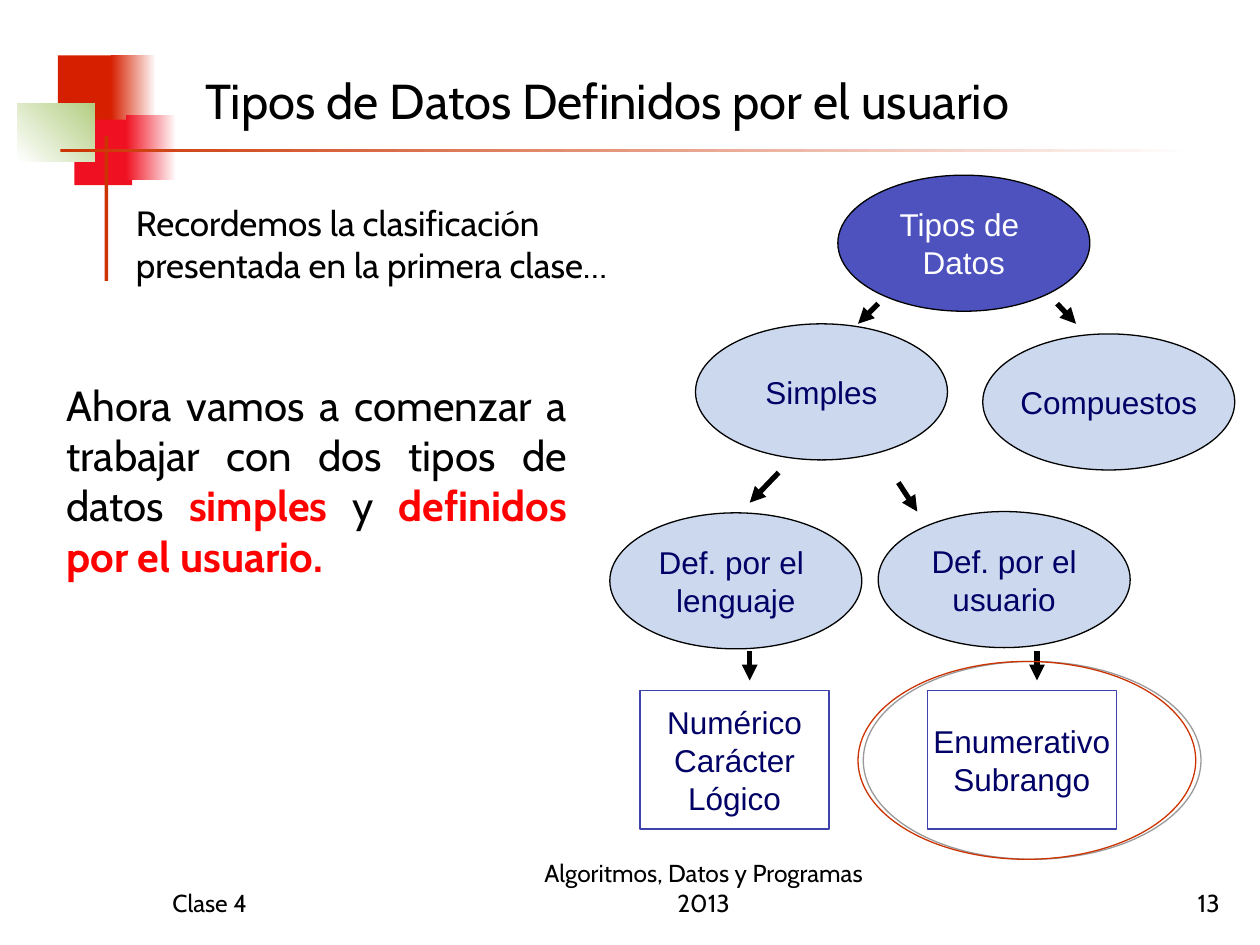
from lxml import etree
from pptx import Presentation
from pptx.dml.color import RGBColor
from pptx.enum import shapes as kinds, text as t
from pptx.oxml.ns import qn
from pptx.util import Inches, Pt

BLACK, WHITE, NAVY, RED = "000000", "FFFFFF", "000066", "FF0000"
INDIGO, PALE, FRAME, RUST = "4D52BE", "CBD8ED", "3E43AC", "CC3300"
LEFT, CENTER, RIGHT, JUSTIFY = (
    t.PP_ALIGN.LEFT, t.PP_ALIGN.CENTER, t.PP_ALIGN.RIGHT, t.PP_ALIGN.JUSTIFY)
TOP, MIDDLE, BOTTOM = t.MSO_ANCHOR.TOP, t.MSO_ANCHOR.MIDDLE, t.MSO_ANCHOR.BOTTOM
OVAL, RECTANGLE = kinds.MSO_SHAPE.OVAL, kinds.MSO_SHAPE.RECTANGLE

# box, colours (two make a gradient), counter-clockwise gradient angle
DECORATION = [
    ((0.46, 0.44, 0.48, 0.52), ["D61F00"], 0),
    ((0.88, 0.44, 0.36, 0.52), ["D61F00", WHITE], 0),
    ((0.59, 0.95, 0.46, 0.52), ["EF1121"], 0),
    ((1, 0.91, 0.4, 0.52), ["EF1121", WHITE], 0),
    ((0.14, 0.82, 0.61, 0.46), [WHITE, "B3CE82"], 45),
    ((0.83, 1.08, 0.03, 1.15), [RUST], 0),
    ((0.48, 1.18, 9, 0.03), [RUST, WHITE], 0),
]

# box, size, alignment, anchor, runs (text, is highlighted)
TEXTS = [
    ((7.7, 6.83, 2.08, 0.5), 14, RIGHT, BOTTOM, [("13", False)]),
    ((1.53, 0.25, 8.08, 0.83), 28, LEFT, BOTTOM,
     [("Tipos de Datos Definidos por el usuario", False)]),
    ((1.27, 6.83, 2.08, 0.5), 14, LEFT, BOTTOM, [("Clase 4", False)]),
    ((4, 6.83, 3.17, 0.5), 14, CENTER, BOTTOM,
     [("Algoritmos, Datos y Programas 2013", False)]),
    ((0.43, 2.96, 4.17, 2.36), 24, JUSTIFY, TOP,
     [("Ahora vamos a comenzar a trabajar con dos tipos de datos ", False),
      ("simples", True), (" y ", False), ("definidos por el usuario.", True)]),
    ((0.98, 1.55, 4.65, 0.94), 20, LEFT, TOP,
     [("Recordemos la clasificación presentada en la primera clase…", False)]),
]

# preset, size, fill, line, text colour
ROOT = (OVAL, (2, 1.08), INDIGO, BLACK, WHITE)
BRANCH = (OVAL, (2, 1.08), PALE, BLACK, NAVY)
LEAF = (RECTANGLE, (1.5, 1.1), WHITE, FRAME, NAVY)
NODES = [
    (ROOT, (6.65, 1.39), ["Tipos de ", "Datos"]),
    (BRANCH, (5.52, 2.57), ["Simples"]),
    (BRANCH, (7.8, 2.65), ["Compuestos"]),
    (BRANCH, (4.84, 4.07), ["Def. por el ", "lenguaje"]),
    (BRANCH, (6.97, 4.06), ["Def. por el", "usuario"]),
    (LEAF, (5.08, 5.48), ["Numérico", "Carácter", "Lógico"]),
    (LEAF, (7.36, 5.48), ["Enumerativo", "Subrango"]),
]
ARROWS = [
    (6.97, 2.41, 6.81, 2.57), (8.39, 2.41, 8.54, 2.57),
    (6.18, 3.75, 5.95, 3.99), (7.13, 3.83, 7.28, 4.06),
    (5.95, 5.17, 5.95, 5.4), (8.23, 5.17, 8.23, 5.4),
]
HIGHLIGHT = (6.81, 5.25, 2.68, 1.57)


def color(value):
    return RGBColor.from_string(value)


def inches(values):
    return [Inches(value) for value in values]


def add_shape(slide, preset, box, fills, line=None, angle=0):
    shape = slide.shapes.add_shape(preset, *inches(box))
    shape.shadow.inherit = False
    if len(fills) == 2:
        shape.fill.gradient()
        shape.fill.gradient_angle = angle
        for stop, position, value in zip(shape.fill.gradient_stops, (0, 1), fills):
            stop.position = position
            stop.color.rgb = color(value)
    elif fills:
        shape.fill.solid()
        shape.fill.fore_color.rgb = color(fills[0])
    else:
        shape.fill.background()
    if line:
        shape.line.color.rgb = color(line)
        shape.line.width = Pt(0.75)
    else:
        shape.line.fill.background()
    return shape


def add_text(slide, box, size, alignment, anchor, runs):
    frame = slide.shapes.add_textbox(*inches(box)).text_frame
    frame.word_wrap = True
    frame.vertical_anchor = anchor
    paragraph = frame.paragraphs[0]
    paragraph.alignment = alignment
    paragraph.font.size = Pt(size)
    paragraph.font.name = "Cabin"
    for words, highlighted in runs:
        run = paragraph.add_run()
        run.text = words
        run.font.bold = highlighted
        run.font.color.rgb = color(RED if highlighted else BLACK)


def add_node(slide, style, position, lines):
    preset, size, fill, line, ink = style
    frame = add_shape(slide, preset, position + size, [fill], line).text_frame
    frame.word_wrap = False
    frame.vertical_anchor = MIDDLE
    frame.text = "\n".join(lines)
    for paragraph in frame.paragraphs:
        paragraph.alignment = CENTER
        paragraph.font.size = Pt(18)
        paragraph.font.name = "Arial"
        paragraph.font.color.rgb = color(ink)


def add_arrow(slide, ends):
    arrow = slide.shapes.add_connector(kinds.MSO_CONNECTOR.STRAIGHT, *inches(ends))
    arrow.line.color.rgb = color(BLACK)
    arrow.line.width = Pt(3)
    etree.SubElement(arrow.line._get_or_add_ln(), qn("a:tailEnd"), type="triangle")
    etree.SubElement(arrow._element.spPr, qn("a:effectLst"))


def add_shadow(shape):
    """Give the shape a hard grey shadow, 3 points to the right."""
    effects = shape._element.spPr.find(qn("a:effectLst"))
    shadow = etree.SubElement(effects, qn("a:outerShdw"), blurRad="0",
                              dist=str(Pt(3)), dir="0", rotWithShape="0")
    tint = etree.SubElement(shadow, qn("a:srgbClr"), val=BLACK)
    etree.SubElement(tint, qn("a:alpha"), val="40000")


def main():
    presentation = Presentation()
    presentation.slide_width, presentation.slide_height = inches((10, 7.5))
    slide = presentation.slides.add_slide(presentation.slide_layouts[6])
    for box, fills, angle in DECORATION:
        add_shape(slide, RECTANGLE, box, fills, angle=angle)
    for entry in TEXTS:
        add_text(slide, *entry)
    for node in NODES:
        add_node(slide, *node)
    for ends in ARROWS:
        add_arrow(slide, ends)
    add_shadow(add_shape(slide, OVAL, HIGHLIGHT, [], RUST))
    presentation.save("out.pptx")


if __name__ == "__main__":
    main()
